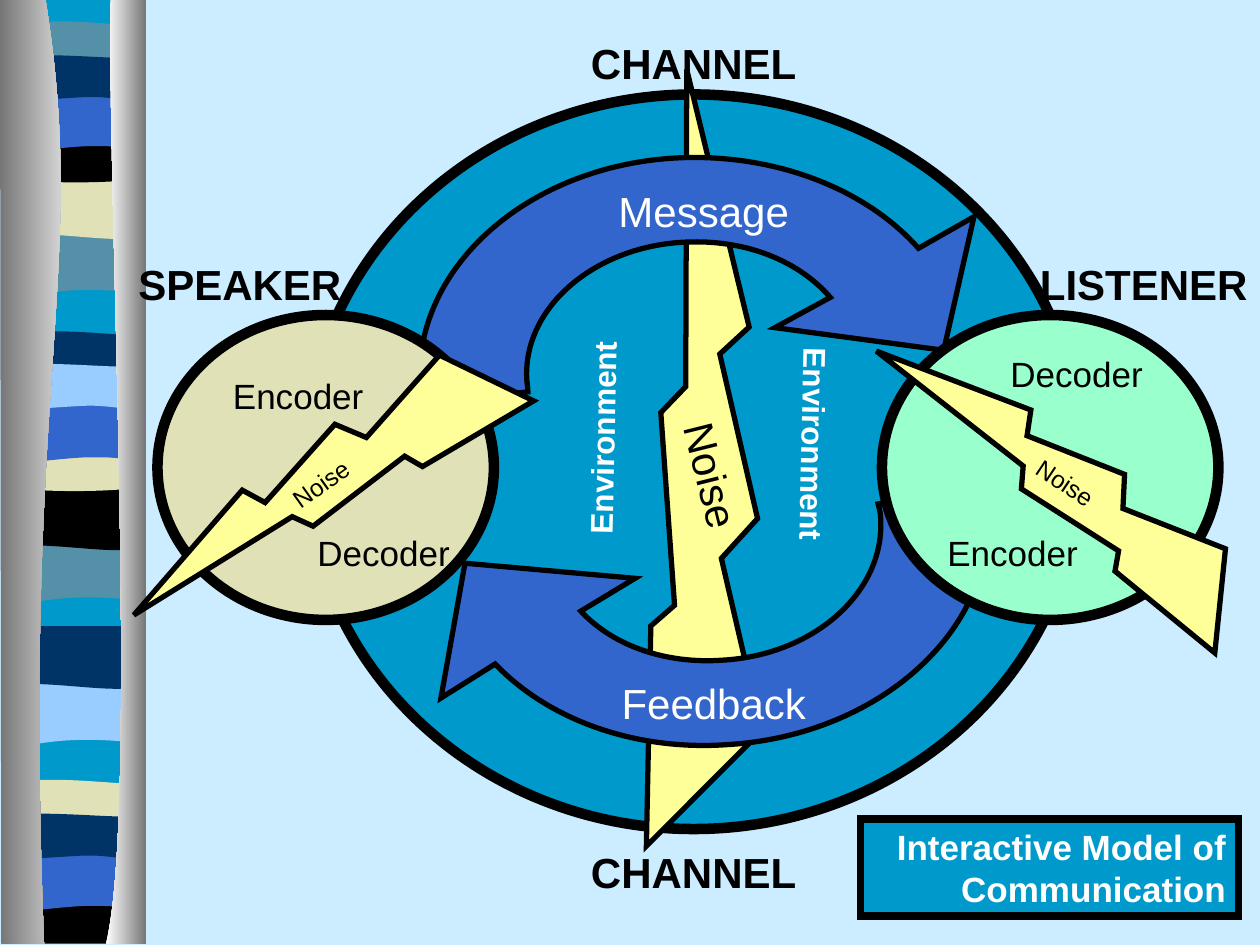
import math

from lxml import etree
from pptx import Presentation
from pptx.dml.color import RGBColor
from pptx.enum import shapes as kinds, text as txt
from pptx.oxml.ns import qn
from pptx.util import Inches, Pt

BLACK = RGBColor(0x00, 0x00, 0x00)
WHITE = RGBColor(0xFF, 0xFF, 0xFF)
GRAY = RGBColor(0x76, 0x76, 0x76)
PALE = RGBColor(0xCC, 0xEC, 0xFF)
TEAL = RGBColor(0x00, 0x99, 0xCC)
STEEL = RGBColor(0x54, 0x90, 0xA8)
SAND = RGBColor(0xE1, 0xE1, 0xB7)
BLUE = RGBColor(0x33, 0x66, 0xCC)
NAVY = RGBColor(0x00, 0x33, 0x66)
SKY = RGBColor(0x99, 0xCC, 0xFF)
MINT = RGBColor(0x99, 0xFF, 0xCC)
YELLOW = RGBColor(0xFF, 0xFF, 0x99)

# An outline starts at a point; then two numbers are a line, six a curve.
# Waves: y is measured from the top of each band.
WAVES = {
    "dip": [(1.14, 0), (1.14, 0.47), (0.4, 0.38, 0.24, 0.54, 0.07, 0.47), (0.07, 0)],
    "swell": [(1.14, 0), (1.14, 0.47), (0.96, 0.55, 0.4, 0.42, 0.07, 0.47), (0.07, 0)],
    "thin": [(1.14, 0), (1.14, 0.24), (0.96, 0.28, 0.25, 0.28, 0.07, 0.24), (0.07, 0),
             (0.14, -0.05, 0.31, -0.04, 0.48, -0.04), (0.66, -0.04, 1, -0.01, 1.14, 0)],
    "bowl": [(1.14, 0), (1.14, 0.33), (0.96, 0.38, 0.24, 0.38, 0.07, 0.33), (0.07, 0),
             (0.72, 0.05, 0.91, 0, 1.14, 0)],
    "end": [(1.14, 0), (1.14, 0.37), (0.08, 0.37), (0.07, 0),
            (0.72, 0.05, 0.91, 0, 1.14, 0)],
    "arch": [(1.14, 0), (1.14, 0.47), (0.97, 0.42, 0.9, 0.42, 0.73, 0.42),
             (0.55, 0.42, 0.23, 0.47, 0.07, 0.47), (0.07, 0)],
    "ripple": [(1.14, 0), (1.14, 0.31), (1.07, 0.36, 0.91, 0.31, 0.73, 0.31),
               (0.55, 0.31, 0.18, 0.36, 0.07, 0.31), (0.07, 0),
               (0.22, -0.05, 0.8, 0, 0.97, 0), (1.15, 0, 1.1, 0, 1.14, 0)],
}

# Each set: shift to the left, then wave, top, colour
BANDS = [
    (0, [("dip", 1.86, STEEL), ("swell", 1.4, SAND), ("thin", 0.21, STEEL),
         ("bowl", 1.08, BLACK), ("arch", 0.74, BLUE), ("ripple", 0.46, NAVY)]),
    (0.01, [("dip", 4.3, STEEL), ("swell", 3.87, BLACK), ("thin", 2.67, NAVY),
            ("bowl", 3.53, SAND), ("arch", 3.21, BLUE), ("ripple", 2.91, SKY)]),
    (0.02, [("dip", 5.43, SKY), ("swell", 4.97, NAVY), ("thin", 6.23, SAND),
            ("end", 7.12, BLACK), ("arch", 6.77, BLUE), ("ripple", 6.48, NAVY)]),
]
BASE = [(1.14, -0.01), (1.14, 7.47), (0.07, 7.47), (0.07, -0.01)]
EDGES = [
    ([(0.36, -0.01), (0.71, 2.16, 0.17, 2.96, 0.35, 7.49), (0.01, 7.49), (0, -0.01)],
     (GRAY, WHITE)),
    ([(0.88, -0.01), (0.84, 1.25, 1.11, 6.46, 0.84, 7.49), (1.16, 7.49), (1.16, 0)],
     (WHITE, GRAY)),
]
# Outline as seen on the slide, frame before its turn, turn
ARROWS = [
    ([(6.59, 2.36), (6.34, 2.07, 5.93, 1.91, 5.49, 1.92), (4.76, 1.93, 4.17, 2.41, 4.18, 2.98),
      (4.18, 3.03, 4.19, 3.07, 4.19, 3.11), (3.35, 3.2), (3.34, 3.14, 3.33, 3.07, 3.33, 3),
      (3.32, 2.06, 4.27, 1.27, 5.47, 1.25), (6.2, 1.24, 6.88, 1.51, 7.29, 1.97),
      (7.73, 1.72), (7.49, 2.78), (6.15, 2.6)], (3.84, 0.75, 3.42, 4.42), 268.9),
    ([(4.61, 4.85), (4.87, 5.13, 5.29, 5.27, 5.73, 5.24), (6.46, 5.2, 7.02, 4.7, 6.99, 4.12),
      (6.99, 4.08, 6.98, 4.04, 6.97, 4), (7.81, 3.87), (7.82, 3.93, 7.83, 4, 7.84, 4.07),
      (7.89, 5.01, 6.97, 5.84, 5.77, 5.91), (5.05, 5.96, 4.36, 5.72, 3.93, 5.27),
      (3.5, 5.54), (3.69, 4.47), (5.04, 4.59)], (3.92, 2, 3.42, 4.42), 86.4),
]

RING = (2.42, 0.75, 6.17, 5.83)
PEOPLE = [((1.25, 2.5, 2.67, 2.42), SAND), ((7, 2.5, 2.67, 2.42), MINT)]
BOLT = ((4.75, 0.67, 1.75, 6.08), 192.9)
SMALL = [((1.89, 2.02, 1.38, 3.5), 75.3), ((7.83, 2.08, 1.38, 3.5), 145.2)]
TITLE = ("Interactive Model of Communication", (6.83, 6.5, 3, 0.77))

HEAD = dict(size=24, bold=True)
MID = dict(HEAD, align="CENTER")
FLOW = dict(size=24, color=WHITE, align="CENTER")
SIDE = dict(size=18, bold=True, color=WHITE)
ROLES = [("SPEAKER", (1, 2, 2.17, 0.5), HEAD),
         ("LISTENER", (7.92, 2, 2.08, 0.5), dict(HEAD, align="RIGHT"))]
FLOWS = [("Message", (4.75, 1.42, 1.67, 0.5), FLOW),
         ("Feedback", (4.83, 5.33, 1.67, 0.5), FLOW),
         ("Noise", (5.08, 3.58, 1.17, 0.5), dict(size=24, turn=76))]
PARTS = [("CHANNEL", (4.42, 0.25, 2.17, 0.5), MID),
         ("Noise", (2.17, 3.58, 1, 0.34), dict(size=14, turn=324.5)),
         ("Noise", (8.08, 3.75, 1, 0.34), dict(size=14, turn=33.8)),
         ("Encoder", (1.75, 2.92, 1.58, 0.44), {}),
         ("Encoder", (7.42, 4.17, 1.58, 0.44), {}),
         ("Decoder", (2.42, 4.17, 1.58, 0.44), {}),
         ("Decoder", (7.92, 2.75, 1.58, 0.44), {}),
         ("Environment", (3.7, 3.05, 2.17, 0.4), dict(SIDE, turn=271.3)),
         ("Environment", (5.37, 3.55, 2.17, 0.4), dict(SIDE, turn=91.3))]
FOOT = [("CHANNEL", (4.42, 6.67, 2.17, 0.5), MID)]


def paint(shape, fill, width=0):
    """Fill with a colour or a pair to blend; width 0 means no line."""
    shape.shadow.inherit = False
    if isinstance(fill, RGBColor):
        shape.fill.solid()
        shape.fill.fore_color.rgb = fill
    else:
        shape.fill.gradient()
        shape.fill.gradient_angle = 0
        for stop, color in zip(shape.fill.gradient_stops, fill):
            stop.color.rgb = color
    if width:
        shape.line.color.rgb = BLACK
        shape.line.width = Pt(width)
        join = etree.SubElement(shape.line._get_or_add_ln(), qn("a:miter"))
        join.set("lim", "800000")
    else:
        shape.line.fill.background()


def draw(slide, outline, fill, width=0, shift=(0, 0), frame=None, turn=0):
    """Draw lines and true curves; without a frame, fit one to the points."""
    parts = [list(zip(part[::2], part[1::2])) for part in outline]
    if frame is None:
        xs, ys = zip(*sum(parts, []))
        frame = min(xs), min(ys), max(xs) - min(xs), max(ys) - min(ys)
    left, top, wide, high = frame
    cos, sin = math.cos(math.radians(turn)), math.sin(math.radians(turn))

    pen = slide.shapes.build_freeform(0, 0)
    pen.add_line_segments([(Inches(wide), 0), (Inches(wide), Inches(high))])
    shape = pen.convert_to_shape(Inches(left + shift[0]), Inches(top + shift[1]))
    route = next(shape._element.iter(qn("a:path")))
    for old in list(route):
        route.remove(old)
    for i, part in enumerate(parts):
        tag = "a:moveTo" if i == 0 else "a:lnTo" if len(part) == 1 else "a:cubicBezTo"
        step = etree.SubElement(route, qn(tag))
        for x, y in part:
            dx, dy = x - left - wide / 2, y - top - high / 2
            spot = etree.SubElement(step, qn("a:pt"))
            spot.set("x", str(Inches(wide / 2 + dx * cos + dy * sin)))
            spot.set("y", str(Inches(high / 2 - dx * sin + dy * cos)))
    etree.SubElement(route, qn("a:close"))
    shape.rotation = turn
    paint(shape, fill, width)


def preset(slide, kind, box, fill, width, turn=0):
    shape = slide.shapes.add_shape(kind, *map(Inches, box))
    shape.rotation = turn
    paint(shape, fill, width)
    return shape


def write(shape, words, size=20, bold=False, color=BLACK, align="LEFT", turn=0):
    shape.rotation = turn
    frame = shape.text_frame
    frame.word_wrap = True
    frame.vertical_anchor = txt.MSO_ANCHOR.TOP
    para = frame.paragraphs[0]
    para.text = words
    para.alignment = txt.PP_ALIGN[align]
    font = para.runs[0].font
    font.name, font.size, font.bold = "Arial", Pt(size), bold
    font.color.rgb = color


def label(slide, items):
    for words, box, style in items:
        write(slide.shapes.add_textbox(*map(Inches, box)), words, **style)


def main():
    deck = Presentation()
    deck.slide_width, deck.slide_height = Inches(10), Inches(7.5)
    slide = deck.slides.add_slide(deck.slide_layouts[6])
    slide.background.fill.solid()
    slide.background.fill.fore_color.rgb = PALE

    draw(slide, BASE, TEAL)
    for back, bands in BANDS:
        for wave, top, color in bands:
            draw(slide, WAVES[wave], color, shift=(-back, top))
    for outline, blend in EDGES:
        draw(slide, outline, blend)

    form = kinds.MSO_SHAPE
    preset(slide, form.OVAL, RING, TEAL, 6)
    label(slide, ROLES)
    preset(slide, form.LIGHTNING_BOLT, BOLT[0], YELLOW, 3, BOLT[1])
    for outline, frame, turn in ARROWS:
        draw(slide, outline, BLUE, 3, frame=frame, turn=turn)
    for box, color in PEOPLE:
        preset(slide, form.OVAL, box, color, 6)
    label(slide, FLOWS)
    for box, turn in SMALL:
        preset(slide, form.LIGHTNING_BOLT, box, YELLOW, 3, turn)
    label(slide, PARTS)
    words, box = TITLE
    write(preset(slide, form.RECTANGLE, box, TEAL, 4.5), words,
          bold=True, color=WHITE, align="RIGHT")
    label(slide, FOOT)
    deck.save("out.pptx")


if __name__ == "__main__":
    main()
